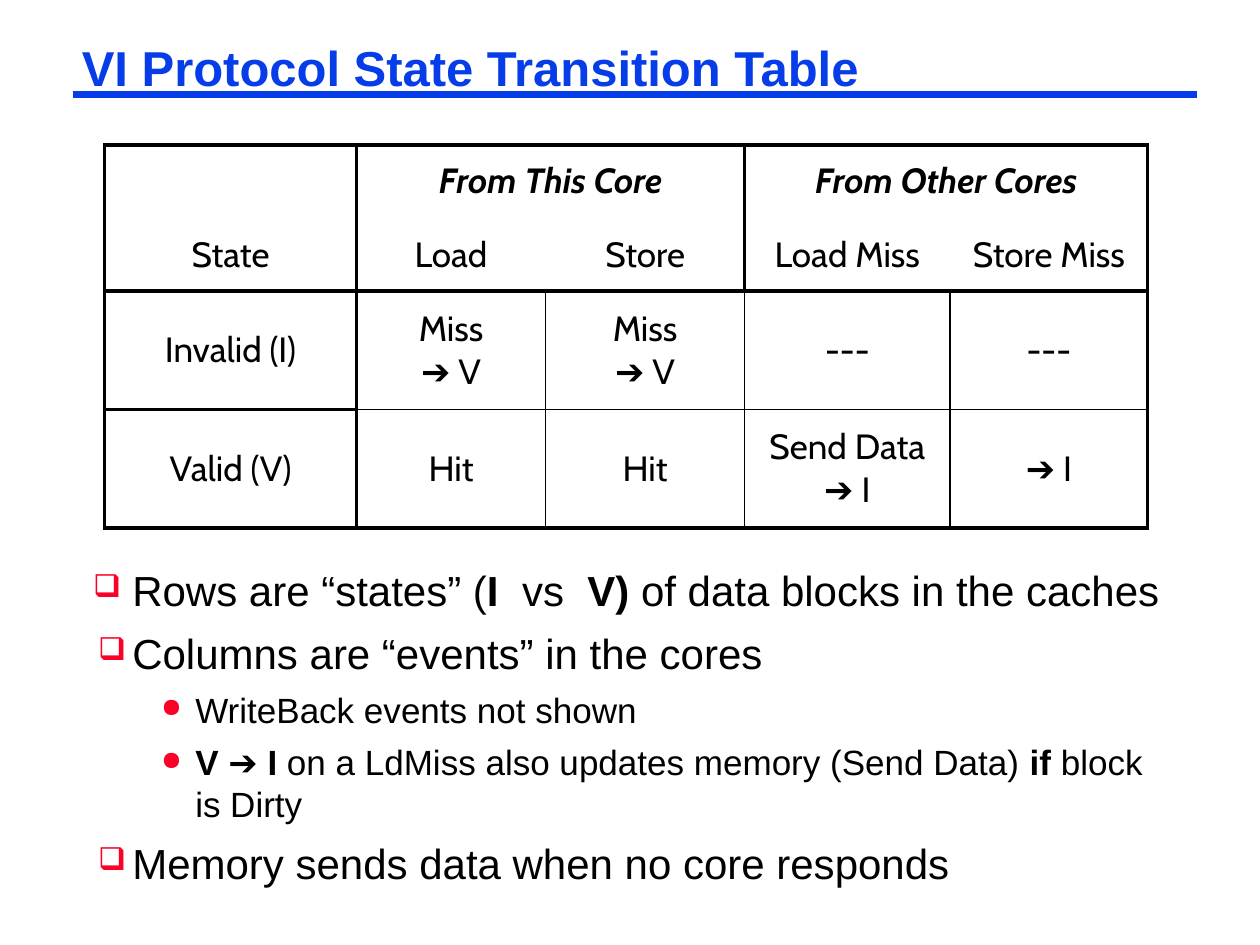
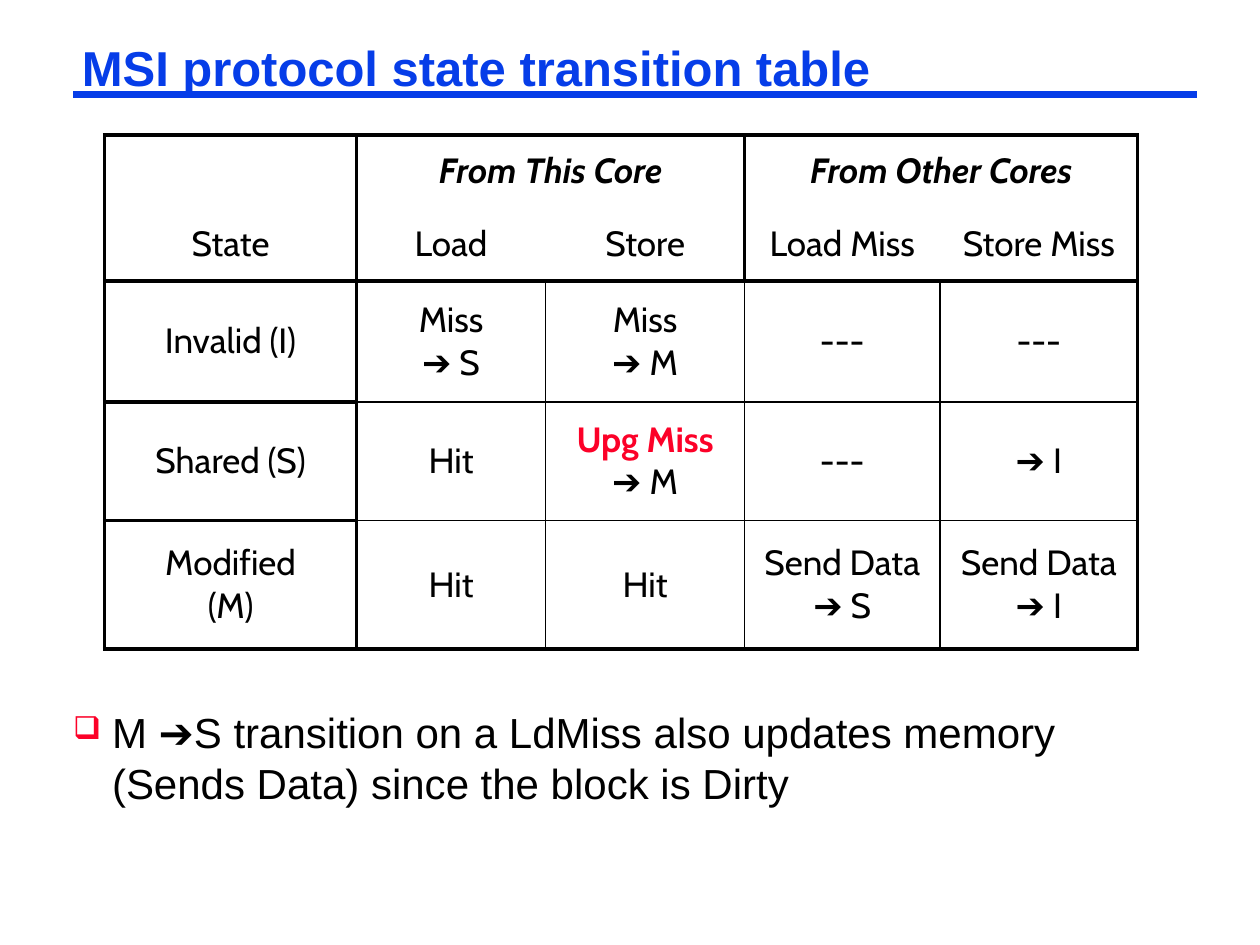
"""Builds two slides with cache coherence state transition tables."""
from lxml import etree
from pptx import Presentation, util as u
from pptx.dml.color import RGBColor
from pptx.enum import shapes, text
from pptx.oxml.ns import qn

GRID = u.Inches(0.1)
BLUE = RGBColor(0x06, 0x3D, 0xE8)
RED = RGBColor(0xFC, 0x01, 0x28)
BLACK = RGBColor(0, 0, 0)
BODY_FACE, TABLE_FACE = "Arial", "Cabin"
THICK, THIN = 2.25, 1
ARROW = "➔"
TITLE_ONLY = 5
HEADER_ROWS = 2

EVENT_GROUPS = {1: "**From This Core**", 3: "**From Other Cores**"}
EVENTS = ["State", "Load", "Store", "Load Miss", "Store Miss"]

VI_STATES = [
    ["Invalid (I)", "Miss\n➔ V", "Miss\n➔ V", "---", "---"],
    ["Valid (V)", "Hit", "Hit", "Send Data ➔ I", "➔ I"],
]
MSI_STATES = [
    ["Invalid (I)", "Miss\n➔ S", "Miss\n➔ M", "---", "---"],
    ["Shared (S)", "Hit", "**Upg Miss**\n➔ M", "---", "➔ I"],
    ["Modified\n(M)", "Hit", "Hit", "Send Data ➔ S", "Send Data ➔ I"],
]
VI_NOTES = [
    (0, "Rows are “states” (**I  **vs  **V) **of data blocks in the caches"),
    (0, "Columns are “events” in the cores"),
    (1, "WriteBack events not shown"),
    (1, "**V **➔ **I** on a LdMiss also updates memory (Send Data)** if **block is Dirty"),
    (0, "Memory sends data when no core responds"),
]
MSI_NOTES = [
    (0, "M ➔S transition on a LdMiss also updates memory (Sends Data) "
        "since the block is Dirty"),
]


def grid(*counts):
    """Turn counts of grid squares into lengths."""
    return [u.Emu(round(count * GRID)) for count in counts]


def add_runs(paragraph, marked, face, size, strong_colour=BLACK, italic=False):
    """Add text run by run, with ** around the bold parts."""
    for index, segment in enumerate(marked.split("**")):
        strong = index % 2 == 1
        for piece in filter(None, segment.partition(ARROW)):
            run = paragraph.add_run()
            run.text = piece
            font = run.font
            font.name = BODY_FACE if piece == ARROW else face
            font.size = u.Pt(size)
            font.bold, font.italic = strong, italic
            font.color.rgb = strong_colour if strong else BLACK


def set_insets(frame):
    """Give a wrapped text frame the narrow insets used on every slide."""
    frame.word_wrap = True
    frame.margin_left = frame.margin_right = u.Inches(0.07)
    frame.margin_top = frame.margin_bottom = u.Inches(0.03)


def add_titled_slide(deck, heading):
    """Add a slide with its heading and the blue rule below it."""
    slide = deck.slides.add_slide(deck.slide_layouts[TITLE_ONLY])
    title = slide.shapes.title
    title.left, title.top, title.width, title.height = grid(5.8, 3.3, 89.2, 4.6)
    frame = title.text_frame
    set_insets(frame)
    frame.auto_size = text.MSO_AUTO_SIZE.NONE
    frame.vertical_anchor = text.MSO_ANCHOR.TOP
    paragraph = frame.paragraphs[0]
    paragraph.alignment = text.PP_ALIGN.LEFT
    paragraph.line_spacing = 0.87
    run = paragraph.add_run()
    run.text = heading
    run.font.name, run.font.size, run.font.bold = BODY_FACE, u.Pt(28), True
    run.font.color.rgb = BLUE
    rule = slide.shapes.add_connector(
        shapes.MSO_CONNECTOR.STRAIGHT, *grid(5.8, 7.5, 95, 7.5))
    rule.line.color.rgb, rule.line.width = BLUE, u.Pt(4.5)
    etree.SubElement(rule._element.spPr, qn("a:effectLst"))
    return slide


def border_widths(row, column, last_row):
    """Return the left, right, top and bottom border widths of a cell."""
    last_column = len(EVENTS) - 1
    if row < HEADER_ROWS:
        return (THICK if row == 0 or column in (0, 1, 3) else 0,
                THICK if row == 0 or column in (0, 2, 4) else 0,
                THICK if row == 0 else 0,
                THICK if row == 1 else 0)
    return (THICK if column <= 1 else THIN,
            THICK if column in (0, last_column) else THIN,
            THICK if column == 0 or row == HEADER_ROWS else THIN,
            THICK if column == 0 or row == last_row else THIN)


def draw_borders(cell, widths):
    """Draw the four borders of a cell, leaving out those of no width."""
    properties = cell._tc.get_or_add_tcPr()
    for index, (side, width) in enumerate(zip("LRTB", widths)):
        border = etree.Element(qn(f"a:ln{side}"), w=str(u.Pt(width)))
        if width:
            fill = etree.SubElement(border, qn("a:solidFill"))
            etree.SubElement(fill, qn("a:srgbClr"), val=str(BLACK))
        else:
            etree.SubElement(border, qn("a:noFill"))
        properties.insert(index, border)


def fill_cell(cell, marked, is_group):
    """Write centred lines into a table cell."""
    cell.vertical_anchor = text.MSO_ANCHOR.MIDDLE
    frame = cell.text_frame
    for index, line in enumerate(marked.split("\n")):
        paragraph = frame.add_paragraph() if index else frame.paragraphs[0]
        paragraph.alignment = text.PP_ALIGN.CENTER
        add_runs(paragraph, line, TABLE_FACE, 20,
                 strong_colour=BLACK if is_group else RED, italic=is_group)


def add_transition_table(slide, top, column_widths, state_heights, states):
    """Add the table of states against events."""
    heights = [5.8] * HEADER_ROWS + state_heights
    groups = [EVENT_GROUPS.get(column, "") for column in range(len(EVENTS))]
    rows = [groups, EVENTS] + states
    table = slide.shapes.add_table(
        len(rows), len(EVENTS),
        *grid(8.3, top, sum(column_widths), sum(heights))).table
    table.first_row = table.horz_banding = False
    for column, width in zip(table.columns, grid(*column_widths)):
        column.width = width
    for row, height in zip(table.rows, grid(*heights)):
        row.height = height
    for row, labels in enumerate(rows):
        for column, label in enumerate(labels):
            cell = table.cell(row, column)
            cell.fill.background()
            draw_borders(cell, border_widths(row, column, len(rows) - 1))
            if label:
                fill_cell(cell, label, is_group=row == 0)
    for column in EVENT_GROUPS:
        table.cell(0, column).merge(table.cell(0, column + 1))


def set_bullet(paragraph, level, hanging):
    """Give a paragraph its indent, space before and red bullet."""
    paragraph.level = level
    properties = paragraph._p.get_or_add_pPr()
    properties.set("marL", str(u.Inches((0.31, 0.81)[level])))
    properties.set("indent", str(-u.Inches(hanging)))
    space = etree.SubElement(properties, qn("a:spcBef"))
    etree.SubElement(space, qn("a:spcPct"), val="30000")
    colour = etree.SubElement(properties, qn("a:buClr"))
    etree.SubElement(colour, qn("a:srgbClr"), val=str(RED))
    etree.SubElement(properties, qn("a:buSzPct"), val="75000")
    etree.SubElement(properties, qn("a:buChar"), char="❑●"[level])


def add_notes_list(slide, area, notes):
    """Add the bulleted remarks below the table."""
    frame = slide.shapes.add_textbox(*grid(*area)).text_frame
    set_insets(frame)
    for index, (level, marked) in enumerate(notes):
        paragraph = frame.add_paragraph() if index else frame.paragraphs[0]
        set_bullet(paragraph, level, 0.27 if index else 0.31)
        add_runs(paragraph, marked, BODY_FACE, (24, 20)[level])


def main():
    """Build and save the deck."""
    deck = Presentation()
    deck.slide_width, deck.slide_height = grid(100, 75)

    vi = add_titled_slide(deck, "VI Protocol State Transition Table")
    add_transition_table(vi, 11.5, [20, 15, 15.8, 16.3, 15.7], [9.4, 9.4], VI_STATES)
    add_notes_list(vi, (6.7, 44.5, 86.7, 27.2), VI_NOTES)

    msi = add_titled_slide(deck, "MSI protocol state transition table")
    add_transition_table(
        msi, 10.7, [20, 15, 15.8, 15.5, 15.7], [9.6, 9.4, 10.2], MSI_STATES)
    add_notes_list(msi, (5.1, 55.8, 89, 8.6), MSI_NOTES)

    deck.save("out.pptx")


if __name__ == "__main__":
    main()
